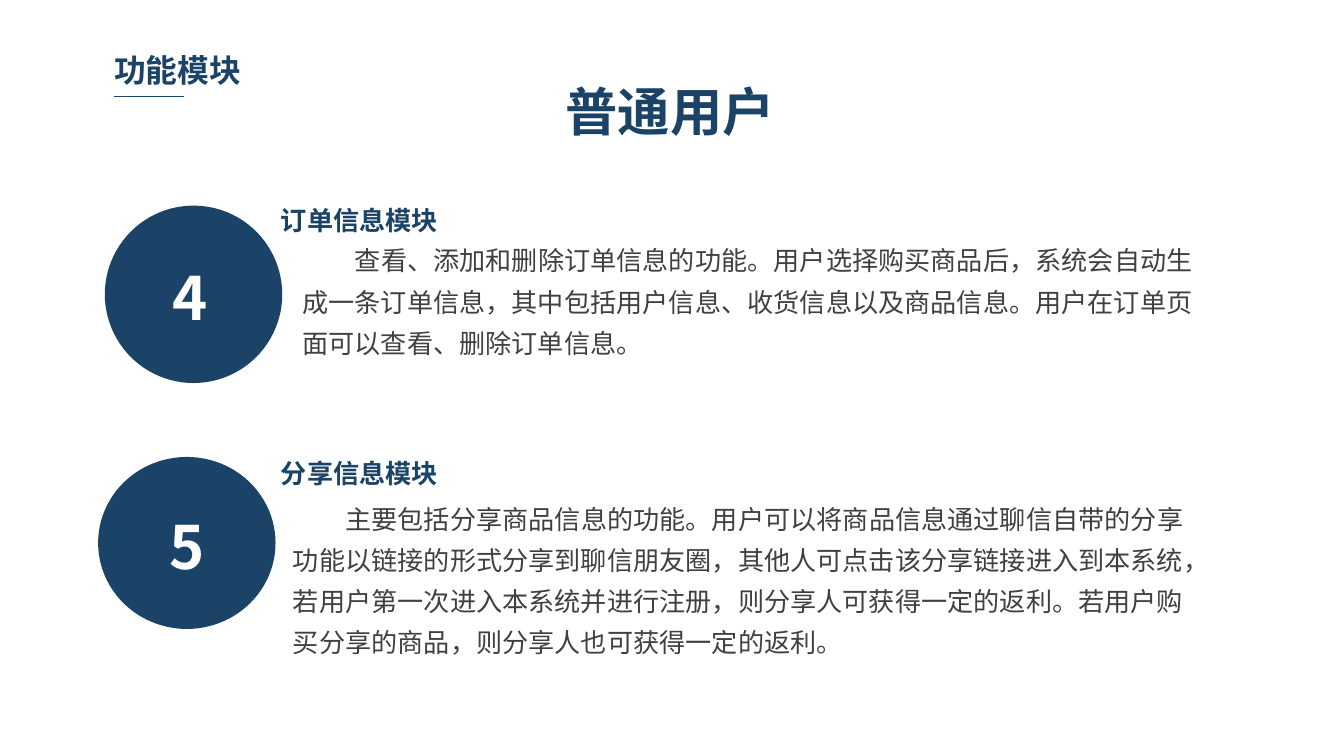
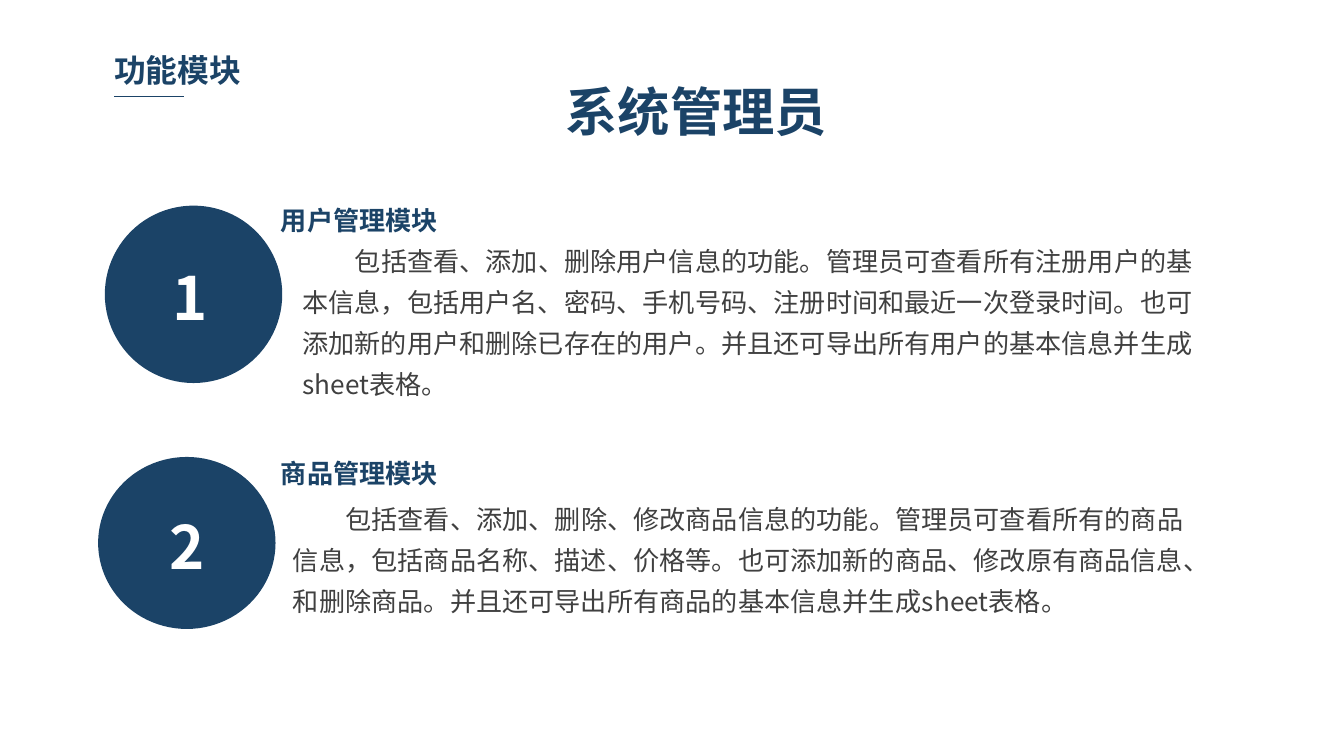
from dataclasses import dataclass

from lxml.etree import SubElement
from pptx import Presentation
from pptx.dml.color import RGBColor
from pptx.enum.shapes import MSO_CONNECTOR, MSO_SHAPE
from pptx.enum.text import MSO_ANCHOR, MSO_AUTO_SIZE
from pptx.oxml.ns import qn
from pptx.util import Inches, Pt


@dataclass(frozen=True)
class Theme:
    font: str = "Noto Sans CJK SC"
    navy: RGBColor = RGBColor(0x1B, 0x43, 0x67)
    grey: RGBColor = RGBColor(0x40, 0x40, 0x40)
    white: RGBColor = RGBColor(0xFF, 0xFF, 0xFF)
    section_size: int = 17
    title_size: int = 28
    number_size: int = 32
    text_size: int = 14
    text_leading: int = 22
    rule_width: float = 0.75


@dataclass(frozen=True)
class Slot:
    """Places of one module's parts, in grid columns and rows."""
    disc_shape: MSO_SHAPE
    disc: tuple
    number: tuple
    heading: tuple
    body: tuple


# The grid has 100 columns; a row is as tall as a column is wide
COLUMNS, ROWS = 100, 56.25
LINE_ROWS = 3.06
SLOTS = (
    Slot(MSO_SHAPE.FLOWCHART_CONNECTOR, (7.8, 15.3, 13.2, 13.2),
         (12.8, 19.4), (20.9, 15.2), (22.5, 17.5)),
    Slot(MSO_SHAPE.OVAL, (7.3, 34, 13.2, 12.8),
         (12.6, 37.9), (20.9, 34), (21.8, 36.7)),
)


class Builder:
    def __init__(self, theme):
        self.theme = theme
        self.deck = Presentation()
        self.deck.slide_width = Inches(10)
        self.deck.slide_height = Inches(5.625)
        self.page = None

    def place(self, columns, rows):
        return (round(self.deck.slide_width * columns / COLUMNS),
                round(self.deck.slide_height * rows / ROWS))

    def frame(self, left, top, width, height):
        return *self.place(left, top), *self.place(width, height)

    def new_page(self):
        self.page = self.deck.slides.add_slide(self.deck.slide_layouts[6])

    def text(self, area, words, size, color, bold=True, inset=(0, 0),
             anchor=MSO_ANCHOR.MIDDLE):
        box = self.page.shapes.add_textbox(*self.frame(*area))
        frame = box.text_frame
        frame.word_wrap = True
        frame.auto_size = MSO_AUTO_SIZE.SHAPE_TO_FIT_TEXT
        frame.vertical_anchor = anchor
        side, edge = self.place(*inset)
        frame.margin_left = frame.margin_right = side
        frame.margin_top = frame.margin_bottom = edge
        para = frame.paragraphs[0]
        para.text = words
        para.font.name = self.theme.font
        para.font.size = Pt(size)
        para.font.bold = bold
        para.font.color.rgb = color
        # East Asian typeface
        defaults = para._p.pPr.find(qn("a:defRPr"))
        SubElement(defaults, qn("a:ea"), typeface=self.theme.font)
        return para

    def body(self, corner, words, lines):
        para = self.text((*corner, 66.5, lines * LINE_ROWS), words,
                         self.theme.text_size, self.theme.grey, bold=False,
                         anchor=MSO_ANCHOR.TOP)
        para.line_spacing = Pt(self.theme.text_leading)
        para._p.pPr.set("marL", "0")
        para._p.pPr.set("indent", str(self.place(3.9, 0)[0]))

    def disc(self, kind, area):
        disc = self.page.shapes.add_shape(kind, *self.frame(*area))
        disc.shadow.inherit = False
        disc.fill.solid()
        disc.fill.fore_color.rgb = self.theme.navy
        disc.line.fill.background()

    def rule(self, start, end):
        rule = self.page.shapes.add_connector(
            MSO_CONNECTOR.STRAIGHT, *self.place(*start), *self.place(*end))
        rule.line.color.rgb = self.theme.navy
        rule.line.width = Pt(self.theme.rule_width)
        SubElement(rule._element.spPr, qn("a:effectLst"))

    def header(self, section, title):
        theme = self.theme
        self.text((7.8, 3.4, 24.7, 3.6), section, theme.section_size,
                  theme.navy, inset=(0.7, 0.4))
        self.rule((8.5, 7.2), (13.7, 7.2))
        self.text((42.1, 5.9, 20, 4.7), title, theme.title_size, theme.navy)

    def module(self, slot, number, heading, words, lines):
        theme = self.theme
        self.disc(slot.disc_shape, slot.disc)
        self.text((*slot.number, 3.8, 5.4), number, theme.number_size, theme.white)
        self.text((*slot.heading, 15.3, 2.4), heading, theme.text_size, theme.navy)
        self.body(slot.body, words, lines)


# Each page: title, then number, heading, text and line count of its modules
PAGES = (
    ("普通用户", (
        ("4", "订单信息模块",
         "查看、添加和删除订单信息的功能。用户选择购买商品后，系统会自动生成一条订单信息，"
         "其中包括用户信息、收货信息以及商品信息。用户在订单页面可以查看、删除订单信息。", 3),
        ("5", "分享信息模块",
         "主要包括分享商品信息的功能。用户可以将商品信息通过聊信自带的分享功能以链接的形式"
         "分享到聊信朋友圈，其他人可点击该分享链接进入到本系统，若用户第一次进入本系统并进行"
         "注册，则分享人可获得一定的返利。若用户购买分享的商品，则分享人也可获得一定的返利。", 4),
    )),
    ("系统管理员", (
        ("1", "用户管理模块",
         "包括查看、添加、删除用户信息的功能。管理员可查看所有注册用户的基本信息，包括用户名、"
         "密码、手机号码、注册时间和最近一次登录时间。也可添加新的用户和删除已存在的用户。"
         "并且还可导出所有用户的基本信息并生成sheet表格。", 4),
        ("2", "商品管理模块",
         "包括查看、添加、删除、修改商品信息的功能。管理员可查看所有的商品信息，包括商品名称、"
         "描述、价格等。也可添加新的商品、修改原有商品信息、和删除商品。"
         "并且还可导出所有商品的基本信息并生成sheet表格。", 3),
    )),
)


def main():
    builder = Builder(Theme())
    for title, modules in PAGES:
        builder.new_page()
        builder.header("功能模块", title)
        for slot, module in zip(SLOTS, modules):
            builder.module(slot, *module)
    builder.deck.save("out.pptx")


if __name__ == "__main__":
    main()
